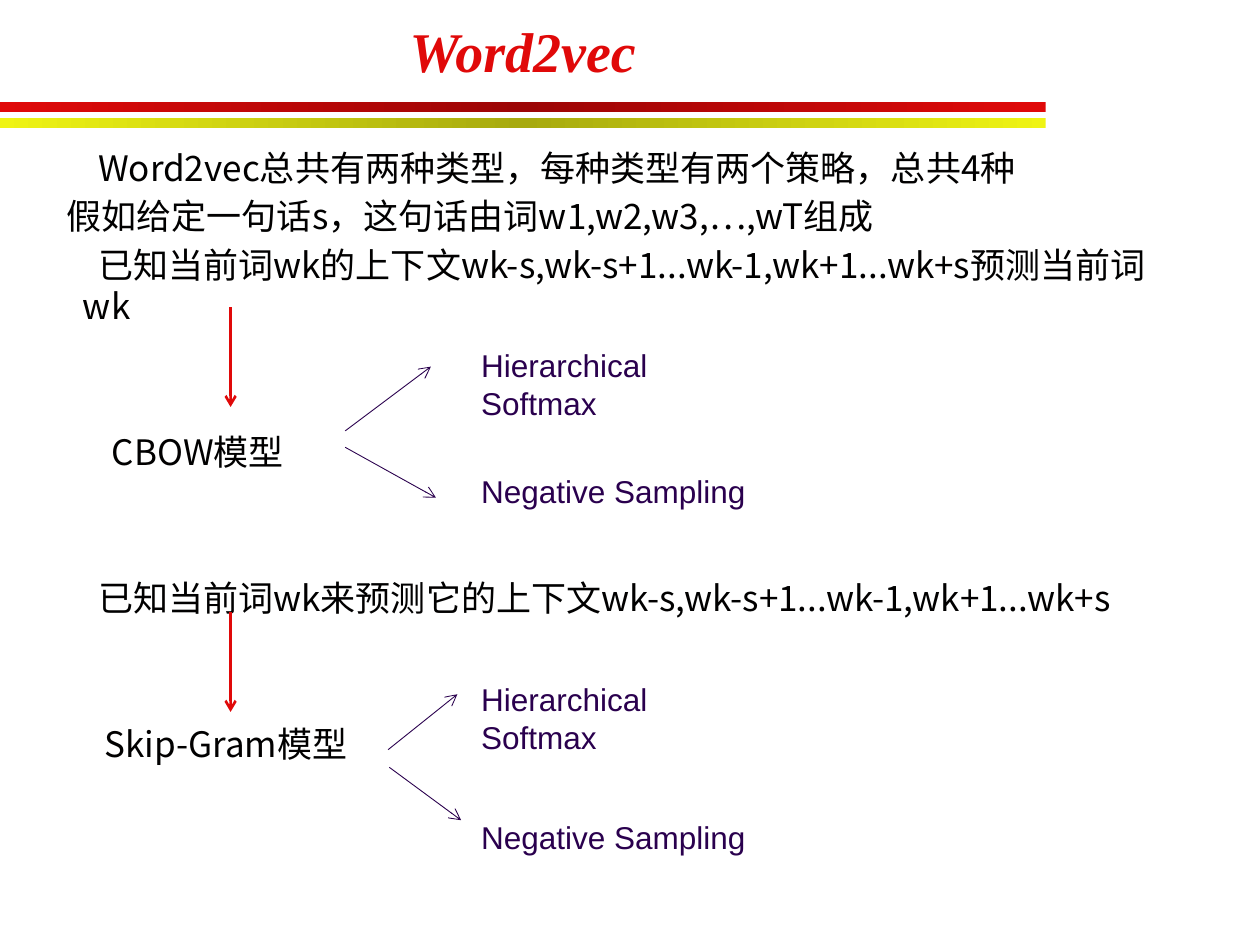
from copy import deepcopy
from typing import NamedTuple

from lxml import etree
from pptx import Presentation, util as u
from pptx.dml.color import RGBColor
from pptx.enum import shapes, text
from pptx.oxml.ns import qn

INK = {"red": "E00909", "wine": "9C0606", "lemon": "EFF414", "olive": "A7AA0E",
       "black": "010000", "plum": "2A004E"}
WIDE, HIGH = 10, 7.5
BAR = 0.83  # share of the slide's width under the title
LABEL = 0.372  # share of the width where strategy labels start


class Line(NamedTuple):
    words: str
    lead: float  # first-line offset, inches
    gap: float  # space before, points


class Arrow(NamedTuple):
    start: tuple[float, float]
    end: tuple[float, float]
    ink: str = "plum"
    weight: float = 0.5


class Label(NamedTuple):
    words: str
    top: float
    width: float


NEAR, FAR = 4.4, 60
LINES = [
    Line("Word2vec总共有两种类型，每种类型有两个策略，总共4种", 0.25, 0),
    Line("假如给定一句话s，这句话由词w1,w2,w3,…,wT组成", 0, NEAR),
    Line("已知当前词wk的上下文wk-s,wk-s+1...wk-1,wk+1...wk+s预测当前词wk", 0.25, NEAR),
    Line("CBOW模型", 0.36, FAR),
    Line("已知当前词wk来预测它的上下文wk-s,wk-s+1...wk-1,wk+1...wk+s", 0.25, FAR),
    Line("Skip-Gram模型", 0.3, FAR),
]
ARROWS = [
    Arrow((2.74, 3.42), (3.42, 2.91)),
    Arrow((2.74, 3.55), (3.46, 3.95)),
    Arrow((3.08, 5.95), (3.63, 5.51)),
    Arrow((3.09, 6.09), (3.66, 6.51)),
    *(Arrow((1.83, y), (1.83, y + 0.79), "red", 1.5) for y in (2.44, 4.86)),
]
LABELS = [Label(words, top, width)
          for words, width, tops in (("Hierarchical Softmax", 2.5, (2.7, 5.35)),
                                     ("Negative Sampling", 2.3, (3.7, 6.44)))
          for top in tops]


def tint(name: str) -> RGBColor:
    return RGBColor.from_string(INK[name])


def style(para, face: str, size: float, ink: str) -> None:
    font = para.font
    font.name, font.size = face, u.Pt(size)
    font.color.rgb = tint(ink)


def add_bar(slide, top: float, edge: str, mid: str) -> None:
    bar = slide.shapes.add_shape(shapes.MSO_SHAPE.RECTANGLE, 0, u.Inches(top),
                                 u.Inches(BAR * WIDE), u.Inches(0.08))
    bar.shadow.inherit = False
    bar.line.fill.background()
    bar.fill.gradient()
    bar.fill.gradient_angle = 0
    first = bar._element.spPr.find(".//" + qn("a:gs"))
    first.addnext(deepcopy(first))
    for stop, spot, ink in zip(bar.fill.gradient_stops, (0, 0.5, 1), (edge, mid, edge)):
        stop.position = spot
        stop.color.rgb = tint(ink)


def add_title(slide) -> None:
    title = slide.shapes.title
    title.left = title.top = 0
    title.width, title.height = u.Inches(BAR * WIDE), u.Inches(0.8)
    frame = title.text_frame
    frame.text = "Word2vec"
    frame.vertical_anchor = text.MSO_ANCHOR.MIDDLE
    para = frame.paragraphs[0]
    para.alignment = text.PP_ALIGN.CENTER
    style(para, "Times New Roman", 32, "red")
    para.font.bold = para.font.italic = True


def add_body(slide) -> None:
    box = slide.shapes.add_textbox(u.Inches(0.43), u.Inches(1.12),
                                   u.Inches(9.08), u.Inches(6.03))
    frame = box.text_frame
    frame.word_wrap = True
    for i, line in enumerate(LINES):
        para = frame.add_paragraph() if i else frame.paragraphs[0]
        para.text = line.words
        para.line_spacing = u.Pt(23.4)
        para.space_before = u.Pt(line.gap)
        props = para._p.get_or_add_pPr()
        props.set("marL", str(u.Inches(0.13)))
        props.set("indent", str(u.Inches(line.lead - 0.13)))
        style(para, "Noto Sans CJK SC", 20, "black")
        latin = props.find(".//" + qn("a:latin"))
        east = etree.Element(qn("a:ea"), typeface="Noto Sans CJK SC")
        latin.addnext(east)


def add_label(slide, label: Label) -> None:
    box = slide.shapes.add_textbox(u.Inches(LABEL * WIDE), u.Inches(label.top),
                                   u.Inches(label.width), u.Inches(0.4))
    frame = box.text_frame
    frame.word_wrap = False
    frame.auto_size = text.MSO_AUTO_SIZE.SHAPE_TO_FIT_TEXT
    frame.text = label.words
    style(frame.paragraphs[0], "Arial", 18, "plum")


def add_arrow(slide, arrow: Arrow) -> None:
    ends = [u.Inches(n) for n in (*arrow.start, *arrow.end)]
    link = slide.shapes.add_connector(shapes.MSO_CONNECTOR.STRAIGHT, *ends)
    link.line.color.rgb = tint(arrow.ink)
    link.line.width = u.Pt(arrow.weight)
    etree.SubElement(link.line._get_or_add_ln(), qn("a:tailEnd"), type="arrow")
    etree.SubElement(link._element.spPr, qn("a:effectLst"))


def main() -> None:
    deck = Presentation()
    deck.slide_width, deck.slide_height = u.Inches(WIDE), u.Inches(HIGH)
    slide = deck.slides.add_slide(deck.slide_layouts[5])
    add_bar(slide, 0.81, "red", "wine")
    add_bar(slide, 0.94, "lemon", "olive")
    add_title(slide)
    add_body(slide)
    for label in LABELS:
        add_label(slide, label)
    for arrow in ARROWS:
        add_arrow(slide, arrow)
    deck.save("out.pptx")


if __name__ == "__main__":
    main()
